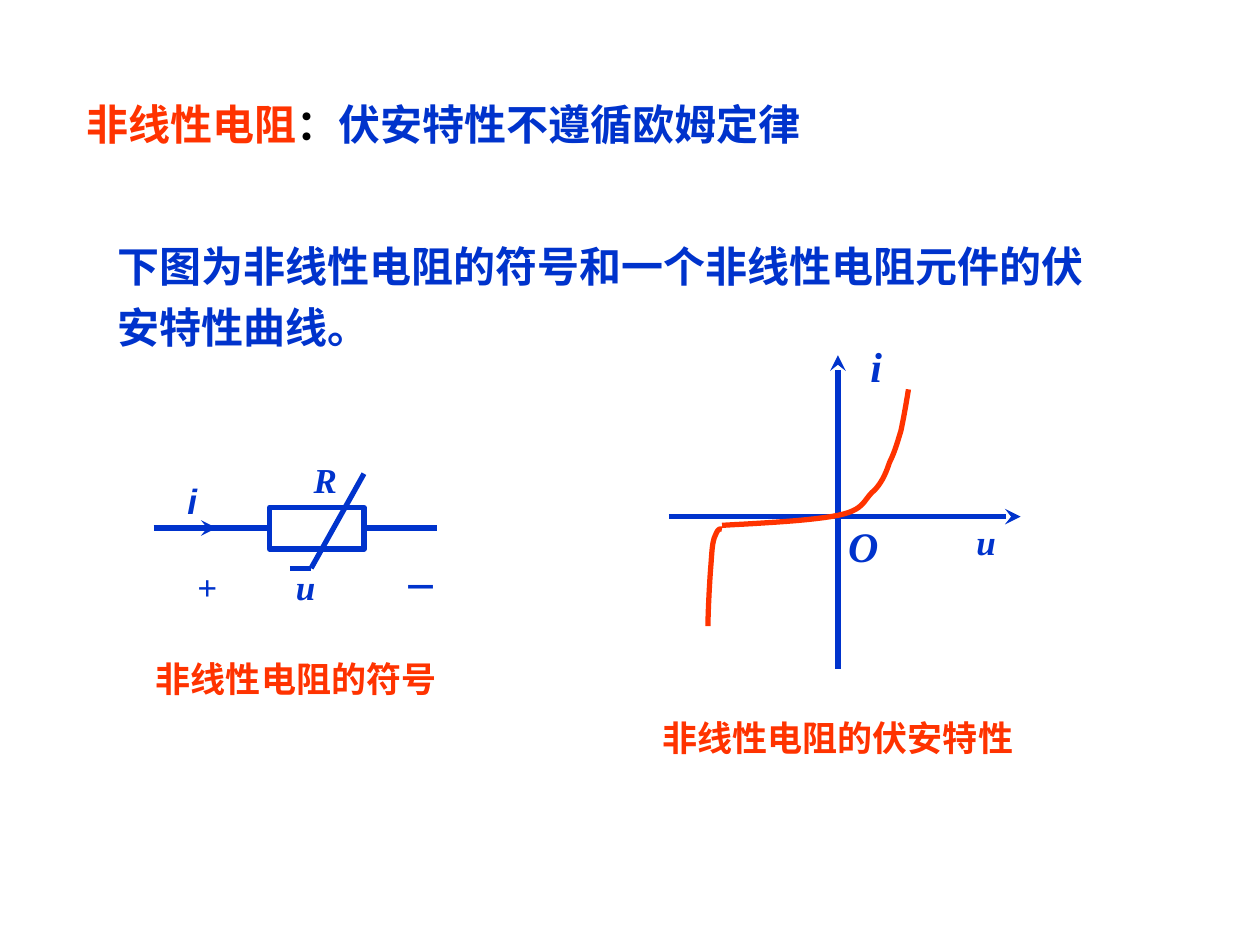
from pptx import Presentation
from pptx.dml.color import RGBColor
from pptx.enum.shapes import MSO_CONNECTOR, MSO_SHAPE
from pptx.enum.text import MSO_ANCHOR, PP_ALIGN
from pptx.oxml.ns import qn
from pptx.util import Pt
from lxml.etree import SubElement

THEME = {
    "blue": RGBColor(0x00, 0x33, 0xCC),
    "red": RGBColor(0xFF, 0x33, 0x00),
    "black": RGBColor(0, 0, 0),
    "white": RGBColor(0xFF, 0xFF, 0xFF),
    "serif": "Times New Roman",
    "sans": "Arial",
    "large": 24,
    "small": 20,
    "line": 3,
}

# Content: runs are (text, colour, italic); boxes are (left, top, width, height)
TITLE = [("非线性电阻", "red", False), ("：", "black", False),
         ("伏安特性不遵循欧姆定律", "blue", False)]
INTRO = [("下图为非线性电阻的符号和一个非线性电阻元件的伏安特性曲线。", "blue", False)]
SIGNS = [("+\t", "blue", False), ("u\t", "blue", True), ("－", "blue", False)]
SIGN_TABS = (56.2, 117.5)

ORIGIN = (478.8, 295.2)
WIRE_Y = 301.7
SLASH_FOOT = (177.8, 324.7)

# Each curve: a start point, then cubic segments of three points
CURVES = [
    [(412.6, 300.2),
     (438.5, 298.8), (464.4, 297.4), (478.8, 294.5),
     (493.2, 291.6), (493.2, 286.6), (498.2, 281.5),
     (503.3, 277.2), (506.2, 270.7), (508.3, 264.2),
     (511.2, 258.5), (512.6, 253.4), (514.8, 246.2),
     (516.2, 239.8), (518.4, 227.5), (519.1, 222.5)],
    [(412.6, 302.4),
     (410.4, 301.7), (409.7, 303.8), (408.2, 307.4),
     (406.8, 311.8), (406.8, 316.8), (406.1, 325.4),
     (405.4, 334.1), (404.6, 350.6), (404.6, 357.8)],
]
STEPS = 12


def add_text(shapes, box, runs, size="small", font="serif", wrap=True,
             align=PP_ALIGN.LEFT, spacing=None, tabs=()):
    sp = shapes.add_textbox(*map(Pt, box))
    tf = sp.text_frame
    tf.word_wrap = wrap
    tf.vertical_anchor = MSO_ANCHOR.TOP
    p = tf.paragraphs[0]
    p.alignment = align
    if spacing:
        p.line_spacing = spacing
    if tabs:
        tab_list = SubElement(p._p.get_or_add_pPr(), qn("a:tabLst"))
        for pos in tabs:
            SubElement(tab_list, qn("a:tab"), pos=str(Pt(pos)), algn="l")
    for text, color, italic in runs:
        r = p.add_run()
        r.text = text
        r.font.name = THEME[font]
        r.font.size = Pt(THEME[size])
        r.font.bold = True
        r.font.italic = italic
        r.font.color.rgb = THEME[color]


def set_line(shape, color):
    shape.line.color.rgb = THEME[color]
    shape.line.width = Pt(THEME["line"])


def add_line(shapes, start, end, arrow=False):
    cxn = shapes.add_connector(MSO_CONNECTOR.STRAIGHT, *map(Pt, start + end))
    set_line(cxn, "blue")
    if arrow:
        SubElement(cxn.line._get_or_add_ln(), qn("a:tailEnd"), type="stealth")
    SubElement(cxn._element.spPr, qn("a:effectLst"))


def bezier(a, b, c, d, t):
    u = 1 - t
    return tuple(u**3 * w + 3 * u * u * t * x + 3 * u * t * t * y + t**3 * z
                 for w, x, y, z in zip(a, b, c, d))


def add_curve(shapes, points):
    vertices = [bezier(*points[k:k + 4], n / STEPS)
                for k in range(0, len(points) - 1, 3)
                for n in range(1, STEPS + 1)]
    builder = shapes.build_freeform(*map(Pt, points[0]), scale=1.0)
    builder.add_line_segments([(Pt(x), Pt(y)) for x, y in vertices], close=False)
    sp = builder.convert_to_shape()
    sp.shadow.inherit = False
    sp.fill.background()
    set_line(sp, "red")


def add_characteristic(shapes):
    x0, y0 = ORIGIN
    add_text(shapes, (371.5, 406, 240, 32), [("非线性电阻的伏安特性", "red", False)])
    # Axes and their labels
    add_line(shapes, (x0, 382.3), (x0, 203), arrow=True)
    add_text(shapes, (490.3, 190.8, 21, 36), [("i", "blue", True)], "large", wrap=False)
    add_line(shapes, (382.3, y0), (583.2, y0), arrow=True)
    add_text(shapes, (550.8, 293.8, 34, 32), [("u", "blue", True)])
    add_text(shapes, (477.4, 293.8, 31.7, 36), [("O", "blue", True)], "large",
             wrap=False, align=PP_ALIGN.CENTER)
    for points in CURVES:
        add_curve(shapes, points)


def add_symbol(shapes):
    add_text(shapes, (82, 372.2, 192.2, 32), [("非线性电阻的符号", "red", False)])
    # Wire behind the resistor body
    add_line(shapes, (165.6, SLASH_FOOT[1]), SLASH_FOOT)
    add_line(shapes, (87.8, WIRE_Y), (249.8, WIRE_Y))
    sp = shapes.add_shape(MSO_SHAPE.RECTANGLE, *map(Pt, (154.1, 290, 54, 23.8)))
    sp.shadow.inherit = False
    sp.fill.solid()
    sp.fill.fore_color.rgb = THEME["white"]
    set_line(sp, "blue")
    # Labels, current arrow and slash
    add_text(shapes, (172.1, 258.5, 36, 32), [("R", "blue", True)])
    add_line(shapes, (100, WIRE_Y), (123.8, WIRE_Y), arrow=True)
    add_text(shapes, (100, 270.7, 36, 32), [("i", "blue", True)], font="sans")
    add_text(shapes, (105.8, 319.7, 167.8, 32), SIGNS, tabs=SIGN_TABS)
    add_line(shapes, (208, 270.7), SLASH_FOOT)


def main():
    prs = Presentation()
    prs.slide_width, prs.slide_height = Pt(720), Pt(540)
    s = prs.slides.add_slide(prs.slide_layouts[6])
    add_text(s.shapes, (42.5, 52.6, 606.2, 36), TITLE, "large")
    add_text(s.shapes, (59.8, 128.2, 581.8, 76.3), INTRO, "large", "sans", spacing=1.2)
    for draw in (add_characteristic, add_symbol):
        draw(s.shapes.add_group_shape().shapes)
    prs.save("out.pptx")


if __name__ == "__main__":
    main()
